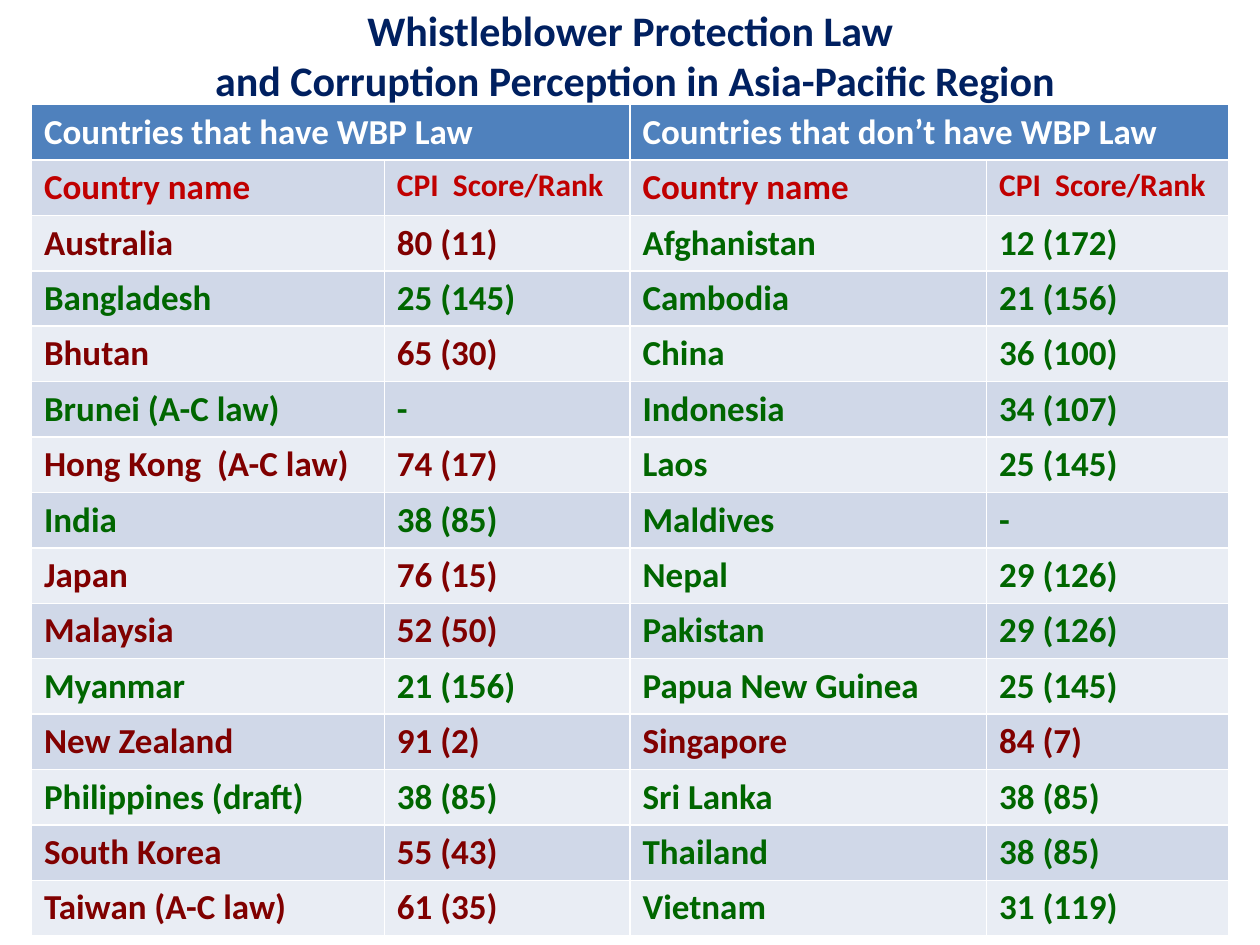
from pptx import Presentation
from pptx.dml.color import RGBColor
from pptx.enum.text import MSO_ANCHOR, PP_ALIGN
from pptx.util import Inches, Pt

MIDDLE = MSO_ANCHOR.MIDDLE
CENTER = PP_ALIGN.CENTER

FONT = "Calibri"
NAVY, WHITE, RED = "002060", "FFFFFF", "C00000"
MAROON, GREEN = "800000", "006600"
HEADER_FILL, BANDS = "4F81BD", ("D0D8E8", "E9EDF4")

TITLE = "Whistleblower Protection Law \vand Corruption Perception in Asia-Pacific Region"
GROUPS = ("Countries that have WBP Law", "Countries that don’t have WBP Law")
COLUMN_WIDTHS = (2.8, 1.95, 2.83, 1.92)
ROW_HEIGHT = 0.44
HIGH_SCORE = 50

WITH_LAW = [
    ("Australia", "80 (11)"),
    ("Bangladesh", "25 (145)"),
    ("Bhutan", "65 (30)"),
    ("Brunei (A-C law)", "-"),
    ("Hong Kong  (A-C law)", "74 (17)"),
    ("India", "38 (85)"),
    ("Japan", "76 (15)"),
    ("Malaysia", "52 (50)"),
    ("Myanmar", "21 (156)"),
    ("New Zealand", "91 (2)"),
    ("Philippines (draft)", "38 (85)"),
    ("South Korea", "55 (43)"),
    ("Taiwan (A-C law)", "61 (35)"),
]
WITHOUT_LAW = [
    ("Afghanistan", "12 (172)"),
    ("Cambodia", "21 (156)"),
    ("China", "36 (100)"),
    ("Indonesia", "34 (107)"),
    ("Laos", "25 (145)"),
    ("Maldives", "-"),
    ("Nepal", "29 (126)"),
    ("Pakistan", "29 (126)"),
    ("Papua New Guinea", "25 (145)"),
    ("Singapore", "84 (7)"),
    ("Sri Lanka", "38 (85)"),
    ("Thailand", "38 (85)"),
    ("Vietnam", "31 (119)"),
]


def rgb(value):
    return RGBColor.from_string(value)


def set_font(paragraph, size, color):
    font = paragraph.font
    font.name, font.size, font.bold = FONT, Pt(size), True
    font.color.rgb = rgb(color)


def fill_cell(cell, text, fill, color, size=20):
    cell.fill.solid()
    cell.fill.fore_color.rgb = rgb(fill)
    cell.text = text
    set_font(cell.text_frame.paragraphs[0], size, color)


def score_color(score):
    """Maroon for countries scoring at least HIGH_SCORE, green for the rest."""
    points = score.split()[0]
    return MAROON if points.isdigit() and int(points) >= HIGH_SCORE else GREEN


def add_title(slide, left, top, width, height):
    title = slide.shapes.add_textbox(
        Inches(left), Inches(top), Inches(width), Inches(height))
    frame = title.text_frame
    frame.word_wrap = True
    frame.vertical_anchor = MIDDLE
    frame.text = TITLE
    paragraph = frame.paragraphs[0]
    paragraph.alignment = CENTER
    set_font(paragraph, 24, NAVY)


def add_country_table(slide, left, top):
    row_count = len(WITH_LAW) + 2
    table = slide.shapes.add_table(
        row_count, len(COLUMN_WIDTHS), Inches(left), Inches(top),
        Inches(sum(COLUMN_WIDTHS)), Inches(row_count * ROW_HEIGHT)).table
    for column, width in zip(table.columns, COLUMN_WIDTHS):
        column.width = Inches(width)
    for row in table.rows:
        row.height = Inches(ROW_HEIGHT)

    for group, (heading, countries) in enumerate(zip(GROUPS, (WITH_LAW, WITHOUT_LAW))):
        name_col, score_col = 2 * group, 2 * group + 1
        table.cell(0, name_col).merge(table.cell(0, score_col))
        fill_cell(table.cell(0, name_col), heading, HEADER_FILL, WHITE)
        fill_cell(table.cell(1, name_col), "Country name", BANDS[0], RED)
        fill_cell(table.cell(1, score_col), "CPI  Score/Rank", BANDS[0], RED, 18)
        for row, (country, score) in enumerate(countries, start=2):
            band, color = BANDS[(row - 1) % 2], score_color(score)
            fill_cell(table.cell(row, name_col), country, band, color)
            fill_cell(table.cell(row, score_col), score, band, color)


def main():
    prs = Presentation()
    prs.slide_width, prs.slide_height = Inches(10), Inches(7.5)
    slide = prs.slides.add_slide(prs.slide_layouts[6])
    add_title(slide, 0.25, 0.17, 9.58, 0.53)
    add_country_table(slide, 0.25, 0.83)
    prs.save("out.pptx")


if __name__ == "__main__":
    main()
